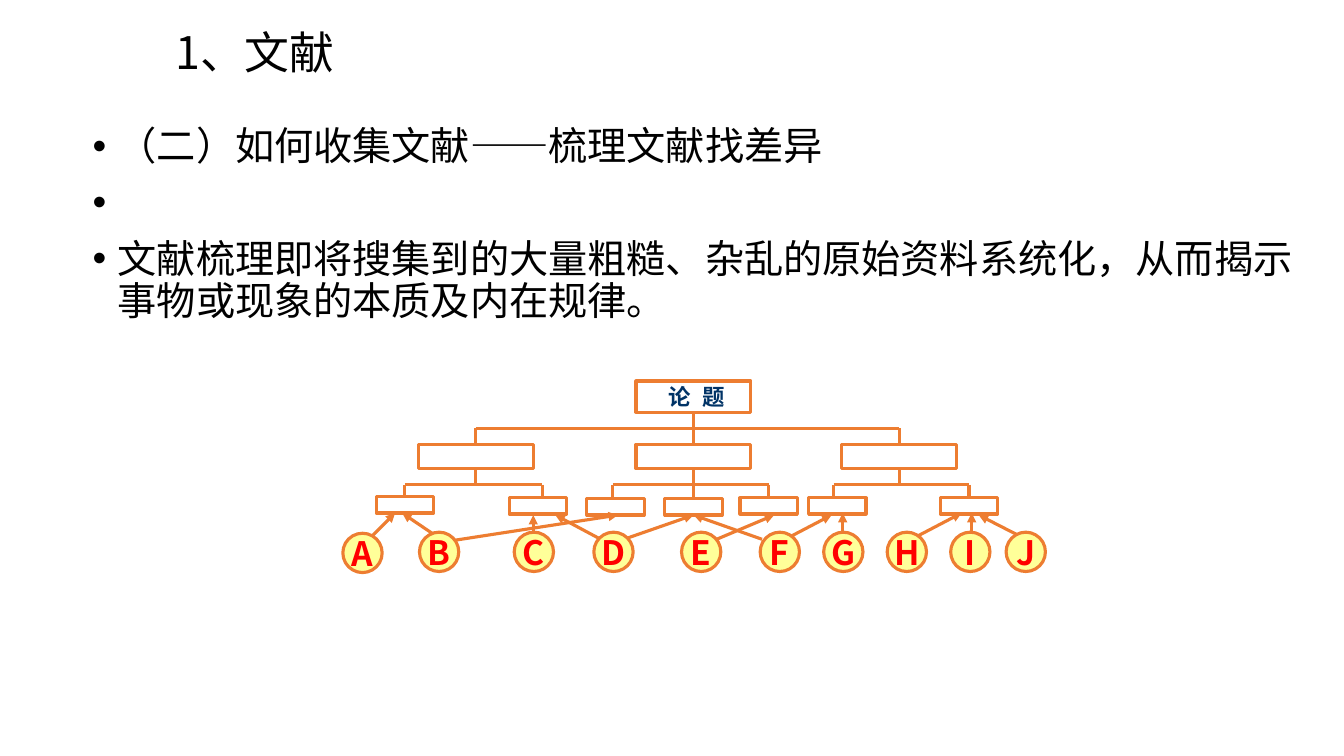
from dataclasses import dataclass

from lxml import etree
from pptx import Presentation
from pptx import util as u
from pptx.dml.color import RGBColor
from pptx.enum import shapes, text
from pptx.oxml.ns import qn


@dataclass(frozen=True)
class Theme:
    ink: str = "000000"
    paper: str = "FFFFFF"
    line: str = "ED7D31"
    topic: str = "003366"
    source_fill: str = "FFFF99"
    source_text: str = "FF0000"
    title_size: int = 32
    body_size: int = 28
    source_size: int = 24
    topic_size: int = 16
    line_width: float = 2.25
    font: str = "Noto Sans CJK SC"
    topic_font: str = "Arial"


class Canvas:
    COLUMNS, ROWS = 40, 30

    def __init__(self, presentation, theme):
        self.theme = theme
        self.slide = presentation.slides.add_slide(presentation.slide_layouts[6])
        self.column = presentation.slide_width / self.COLUMNS
        self.row = presentation.slide_height / self.ROWS

    def place(self, column, row):
        return round(column * self.column), round(row * self.row)

    def run(self, paragraph, words, size, color, font, bold=False, gap=0):
        run = paragraph.add_run()
        run.text = words
        run.font.size = u.Pt(size)
        run.font.bold = bold
        run.font.name = font
        run.font.color.rgb = RGBColor.from_string(color)
        properties = run.font._element
        etree.SubElement(properties, qn("a:ea")).set("typeface", self.theme.font)
        if gap:
            properties.set("spc", str(gap))

    def text_box(self, column, row, width, height, anchor=text.MSO_ANCHOR.TOP):
        box = self.slide.shapes.add_textbox(*self.place(column, row), *self.place(width, height))
        box.text_frame.word_wrap = True
        box.text_frame.vertical_anchor = anchor
        return box.text_frame

    def bullets(self, frame, lines):
        for index, words in enumerate(lines):
            paragraph = frame.add_paragraph() if index else frame.paragraphs[0]
            paragraph.line_spacing = 0.9
            paragraph.space_before = u.Pt(10)
            properties = paragraph._p.get_or_add_pPr()
            properties.set("marL", str(u.Inches(0.25)))
            properties.set("indent", str(-u.Inches(0.25)))
            etree.SubElement(properties, qn("a:buFont")).set("typeface", "Arial")
            etree.SubElement(properties, qn("a:buChar")).set("char", "•")
            self.run(paragraph, words, self.theme.body_size, self.theme.ink, self.theme.font)

    def node(self, kind, center, top, width, height, fill):
        shape = self.slide.shapes.add_shape(
            kind, *self.place(center - width / 2, top), *self.place(width, height))
        shape.shadow.inherit = False
        shape.fill.solid()
        shape.fill.fore_color.rgb = RGBColor.from_string(fill)
        shape.line.color.rgb = RGBColor.from_string(self.theme.line)
        shape.line.width = u.Pt(self.theme.line_width)
        return shape

    def box(self, center, top, width, height):
        return self.node(shapes.MSO_SHAPE.RECTANGLE, center, top, width, height, self.theme.paper)

    def source(self, letter, center, top):
        circle = self.node(shapes.MSO_SHAPE.OVAL, center, top, 1.17, 1.56, self.theme.source_fill)
        frame = circle.text_frame
        frame.word_wrap = False
        frame.vertical_anchor = text.MSO_ANCHOR.MIDDLE
        paragraph = frame.paragraphs[0]
        paragraph.alignment = text.PP_ALIGN.CENTER
        self.run(paragraph, letter, self.theme.source_size, self.theme.source_text,
                 self.theme.font, bold=True)

    def line(self, start, end, above=None, below=None, target=None, arrow=False):
        connector = self.slide.shapes.add_connector(
            shapes.MSO_CONNECTOR.STRAIGHT, *self.place(*start), *self.place(*end))
        connector.line.color.rgb = RGBColor.from_string(self.theme.line)
        connector.line.width = u.Pt(self.theme.line_width)
        if arrow:
            outline = connector.line._get_or_add_ln()
            etree.SubElement(outline, qn("a:tailEnd")).set("type", "triangle")
        etree.SubElement(connector._element.spPr, qn("a:effectLst"))
        if above is not None:
            connector.begin_connect(above, 2)
        if below is not None:
            connector.end_connect(below, 0)
        if target is not None:
            connector.end_connect(target, 2)


TOPIC_CENTER, TOPIC_TOP, TOPIC_HEIGHT = 20.64, 15.12, 1.24
BRANCH_TOP, BRANCH_HEIGHT = 17.64, 0.96
NODE_WIDTH, LEAF_WIDTH, LEAF_HEIGHT = 3.42, 1.71, 0.64
BRANCH_BUS, LEAF_BUS = 17, 19.24

BRANCHES = [
    (14.16, [(12.05, 12.05, 19.72), (16.01, 16.14, 19.76)]),
    (20.64, [(18.32, 18.24, 19.8), (20.64, 20.64, 19.8), (22.88, 22.88, 19.76)]),
    (26.76, [(24.92, 24.81, 19.76), (28.84, 28.84, 19.76)]),
]
ARROWS = [
    ((11.07, 21.28), (11.76, 20.36)),
    ((12.99, 21.28), (11.97, 20.36)),
    ((13.53, 21.44), (18.39, 20.44)),
    ((15.87, 21.36), (15.87, 20.44)),
    ((17.88, 21.4), (16.53, 20.44)),
    ((18.57, 21.4), (20.64, 20.44)),
    ((21.33, 21.4), (23.04, 20.44)),
    ((23.37, 21.4), (24.75, 20.44)),
    ((22.68, 21.4), (20.64, 20.44)),
    ((25.08, 21.32), (25.08, 20.36)),
    ((27.24, 21.32), (28.62, 20.36)),
    ((28.92, 21.32), (28.92, 20.36)),
    ((30.36, 21.28), (29.13, 20.44)),
]
SOURCE_CENTERS = [10.79, 13.07, 15.89, 18.26, 20.87, 23.21, 25.1, 26.99, 28.88, 30.53]


def draw_text(canvas, theme):
    title = canvas.text_box(4.92, 0.2, 34.5, 4, text.MSO_ANCHOR.MIDDLE).paragraphs[0]
    title.line_spacing = 0.9
    canvas.run(title, "1、文献", theme.title_size, theme.ink, theme.font)
    canvas.bullets(canvas.text_box(2.46, 4.84, 36.93, 21.48), [
        "（二）如何收集文献——梳理文献找差异",
        " ",
        "文献梳理即将搜集到的大量粗糙、杂乱的原始资料系统化，从而揭示事物或现象的本质及内在规律。",
    ])


def draw_tree(canvas, theme):
    topic = canvas.box(TOPIC_CENTER, TOPIC_TOP, NODE_WIDTH, TOPIC_HEIGHT)
    label = canvas.text_box(19.32, 15, 2.82, 1.48).paragraphs[0]
    label.alignment = text.PP_ALIGN.CENTER
    for words, gap in (("论", 0), (" ", 445), ("题", 0)):
        canvas.run(label, words, theme.topic_size, theme.topic, theme.topic_font, True, gap)

    canvas.line((BRANCHES[0][0], BRANCH_BUS), (BRANCHES[-1][0], BRANCH_BUS))
    leaf_boxes = {}
    for center, leaves in BRANCHES:
        branch = canvas.box(center, BRANCH_TOP, NODE_WIDTH, BRANCH_HEIGHT)
        above = topic if center == TOPIC_CENTER else None
        canvas.line((center, BRANCH_BUS), (center, BRANCH_TOP), above, branch)
        canvas.line((center, BRANCH_TOP + BRANCH_HEIGHT), (center, LEAF_BUS), branch)
        canvas.line((leaves[0][1], LEAF_BUS), (leaves[-1][1], LEAF_BUS))
        for leaf_center, drop, top in leaves:
            leaf = canvas.box(leaf_center, top, LEAF_WIDTH, LEAF_HEIGHT)
            leaf_boxes[leaf_center] = leaf
            below = leaf if drop == leaf_center else None
            canvas.line((drop, LEAF_BUS), (drop, top), below=below)

    for start, end in ARROWS:
        canvas.line(start, end, target=leaf_boxes.get(end[0]), arrow=True)
    for letter, center in zip("ABCDEFGHIJ", SOURCE_CENTERS):
        canvas.source(letter, center, 21.16 if letter == "A" else 21.12)


def main():
    presentation = Presentation()
    presentation.slide_width = u.Inches(13.33)
    presentation.slide_height = u.Inches(7.5)
    theme = Theme()
    canvas = Canvas(presentation, theme)
    draw_text(canvas, theme)
    draw_tree(canvas, theme)
    presentation.save("out.pptx")


if __name__ == "__main__":
    main()
